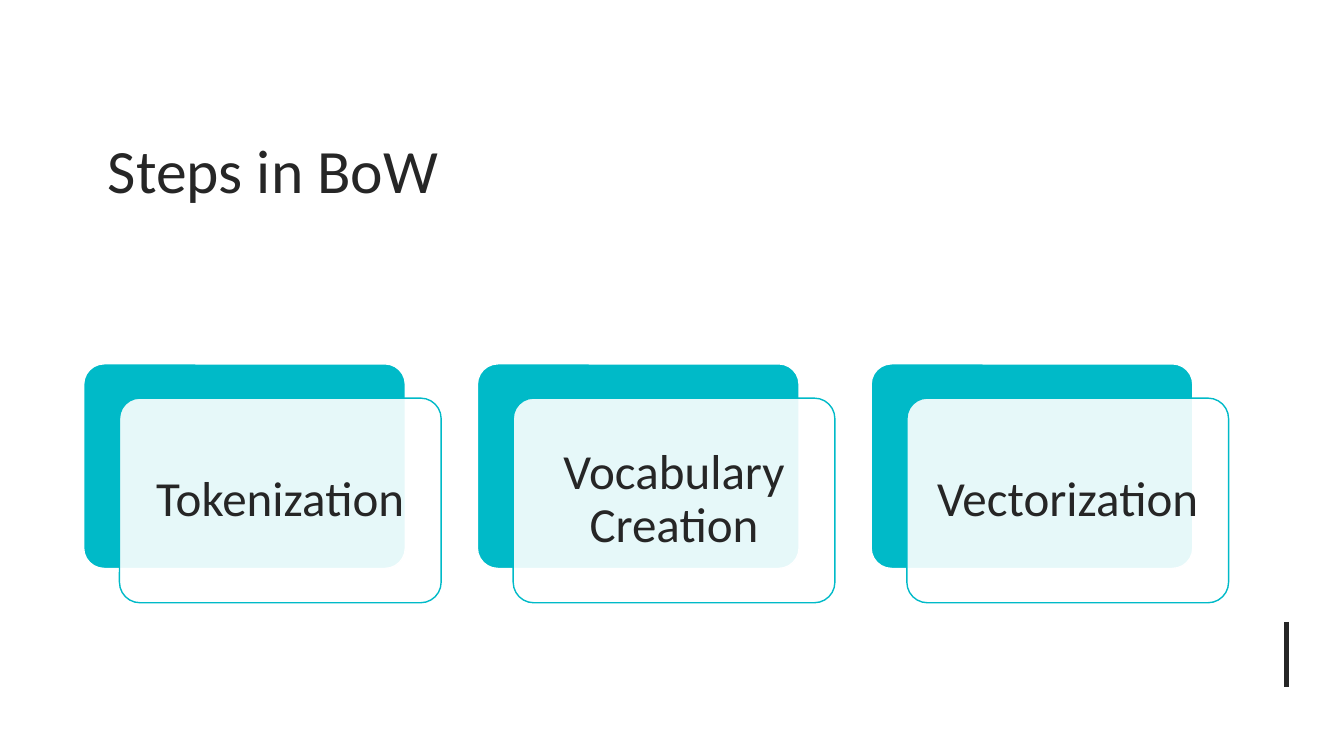
from pptx import Presentation
from pptx.dml.color import RGBColor
from pptx.enum.shapes import MSO_CONNECTOR, MSO_SHAPE
from pptx.enum.text import MSO_ANCHOR, PP_ALIGN
from pptx.oxml.ns import qn
from pptx.util import Inches, Pt
from lxml import etree

COLOURS = {"white": "FFFFFF", "teal": "00BAC8", "ink": "262626"}


def colour(name):
    return RGBColor.from_string(COLOURS[name])


def write(shape, text, size, align, inset_x, inset_y):
    frame = shape.text_frame
    frame.word_wrap = True
    frame.vertical_anchor = MSO_ANCHOR.MIDDLE
    frame.margin_left = frame.margin_right = Inches(inset_x)
    frame.margin_top = frame.margin_bottom = Inches(inset_y)
    paragraph = frame.paragraphs[0]
    paragraph.alignment = align
    paragraph.line_spacing = 0.9
    run = paragraph.add_run()
    run.text = text
    run.font.name = "Calibri"
    run.font.size = Pt(size)
    run.font.color.rgb = colour("ink")


deck = Presentation()
deck.slide_width, deck.slide_height = Inches(13.33), Inches(7.5)
slide = deck.slides.add_slide(deck.slide_layouts[5])
slide.background.fill.solid()
slide.background.fill.fore_color.rgb = colour("white")

# Title
title = slide.shapes.title
title.left, title.top = Inches(0.83), Inches(0.94)
title.width, title.height = Inches(10.49), Inches(1.57)
write(title, "Steps in BoW", 44, PP_ALIGN.LEFT, 0.24, 0.05)

# Accent bar at the lower right
accent = slide.shapes.add_connector(
    MSO_CONNECTOR.STRAIGHT, Inches(12.76), Inches(6.17), Inches(12.76), Inches(6.82))
accent.line.color.rgb = colour("ink")
accent.line.width = Pt(3)
etree.SubElement(accent._element.spPr, qn("a:effectLst"))

# Steps: a teal card behind a translucent white card that holds the label
card_width, card_height = 3.19, 2.03
first_left, step_top, pitch = 0.83, 3.61, 3.905
offset_x, offset_y = 0.355, 0.34
steps = ["Tokenization", "Vocabulary Creation", "Vectorization"]

for index, step in enumerate(steps):
    left = first_left + index * pitch
    for x, y, fill, outline in [
        (left, step_top, "teal", "white"),
        (left + offset_x, step_top + offset_y, "white", "teal"),
    ]:
        card = slide.shapes.add_shape(
            MSO_SHAPE.ROUNDED_RECTANGLE,
            Inches(x), Inches(y), Inches(card_width), Inches(card_height))
        card.adjustments[0] = 0.1
        card.shadow.inherit = False
        card.fill.solid()
        card.fill.fore_color.rgb = colour(fill)
        card.line.color.rgb = colour(outline)
        card.line.width = Pt(1)
    # The front card is the last one drawn
    front_fill = card._element.spPr.find(qn("a:solidFill"))
    etree.SubElement(front_fill[0], qn("a:alpha"), val="90000")
    write(card, step, 35, PP_ALIGN.CENTER, 0.15, 0.15)

deck.save("out.pptx")
